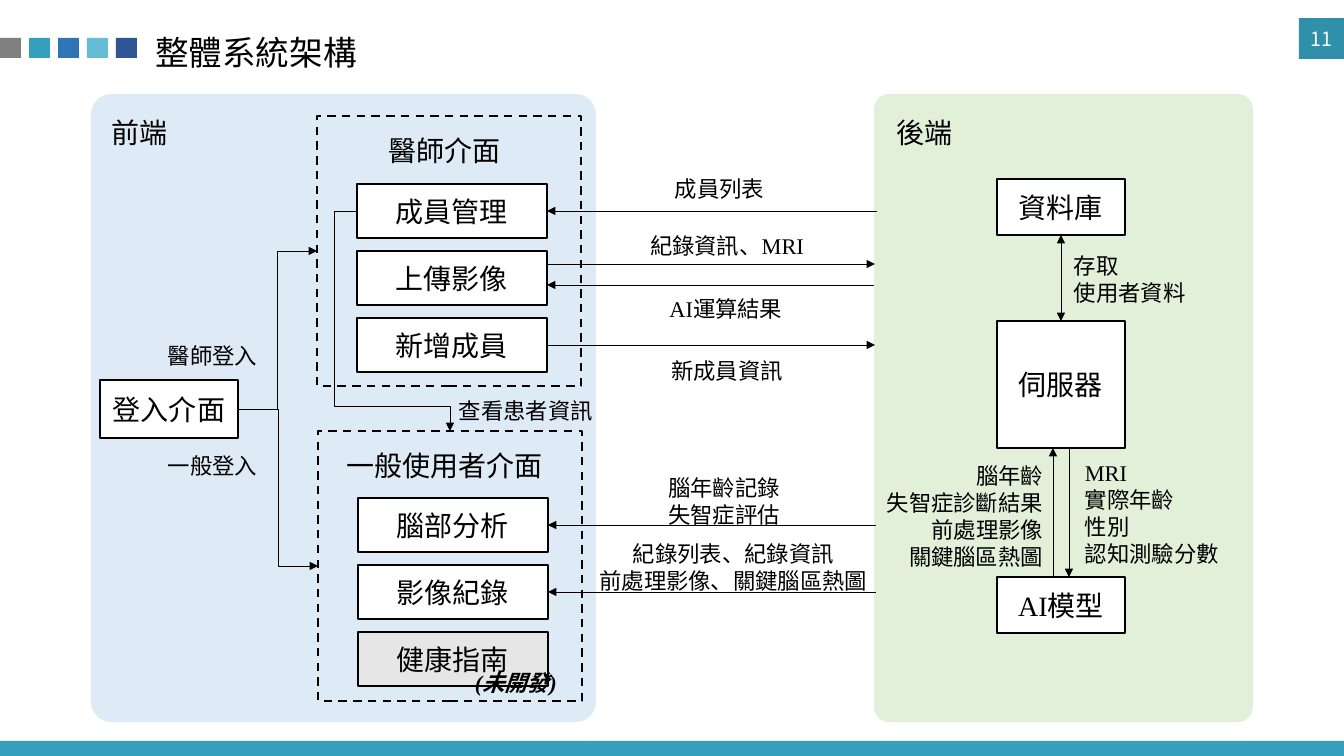
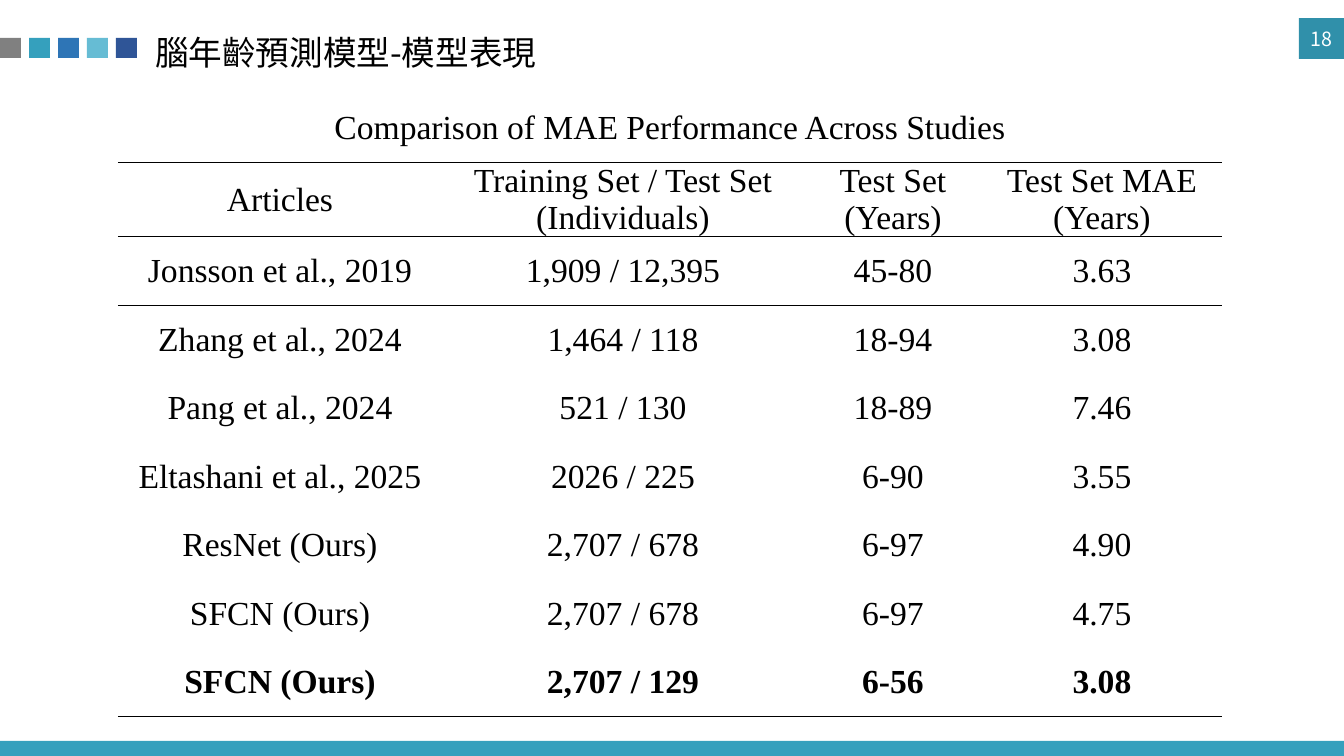
from lxml import etree
from pptx import Presentation
from pptx.dml.color import RGBColor
from pptx.enum.dml import MSO_LINE
from pptx.enum.shapes import MSO_CONNECTOR, MSO_SHAPE
from pptx.enum.text import MSO_ANCHOR, MSO_AUTO_SIZE, PP_ALIGN
from pptx.oxml.ns import qn
from pptx.util import Pt

RECT, ROUND = MSO_SHAPE.RECTANGLE, MSO_SHAPE.ROUNDED_RECTANGLE
STRAIGHT, ELBOW = MSO_CONNECTOR.STRAIGHT, MSO_CONNECTOR.ELBOW
LEFT, CENTER, RIGHT = PP_ALIGN.LEFT, PP_ALIGN.CENTER, PP_ALIGN.RIGHT
MIDDLE, TOP_ANCHOR = MSO_ANCHOR.MIDDLE, MSO_ANCHOR.TOP
TOP_SIDE, LEFT_SIDE, BOTTOM_SIDE, RIGHT_SIDE = range(4)

SLIDE_W, SLIDE_H = 1344, 756
SCALE = 12192000 / SLIDE_W
SERIF, SANS = "Times New Roman", "Noto Sans CJK SC"

BLACK, WHITE = RGBColor(0, 0, 0), RGBColor(255, 255, 255)
TEAL = RGBColor(0x35, 0xA0, 0xBD)
TAB_TEAL = RGBColor(0x30, 0x90, 0xAA)
GRAY = RGBColor(0x80, 0x80, 0x80)
BLUE = RGBColor(0x2E, 0x75, 0xB6)
SKY = RGBColor(0x66, 0xBC, 0xD4)
NAVY = RGBColor(0x2F, 0x55, 0x97)
PALE_BLUE = RGBColor(0xDE, 0xEB, 0xF7)
PALE_GREEN = RGBColor(0xE2, 0xF0, 0xD9)
PALE_GRAY = RGBColor(0xE7, 0xE6, 0xE6)
SQUARES = [GRAY, TEAL, BLUE, SKY, NAVY]

# Architecture slide: panels, dashed frames and boxes as x, y, w, h
PANELS = [((874, 94, 379, 628), PALE_GREEN), ((91, 94, 505, 628), PALE_BLUE)]
FRAMES = {"醫師介面": (317, 116, 264, 270), "一般使用者介面": (318, 431, 264, 270)}
BOX_W, BOX_H, BOX_PITCH = 190, 54, 67
STACKS = [(357, 184, ["成員管理", "上傳影像", "新增成員"]),
          (358, 498, ["腦部分析", "影像紀錄", "健康指南"])]
BOXES = {
    "登入介面": (100, 380, 138, 58),
    "資料庫": (997, 179, 128, 56),
    "伺服器": (997, 321, 128, 127),
    "AI模型": (997, 577, 128, 56),
}
for left, top, names in STACKS:
    for i, name in enumerate(names):
        BOXES[name] = (left, top + i * BOX_PITCH, BOX_W, BOX_H)
UNBUILT = "健康指南"

HEADINGS = [
    ("前端", 91, 105, 97, 54),
    ("後端", 876, 105, 97, 54),
    ("醫師介面", 326, 123, 237, 54),
    ("一般使用者介面", 326, 438, 237, 54),
]
LABELS = [
    ("醫師登入", 158, 337, 120, LEFT),
    ("一般登入", 158, 447, 120, LEFT),
    ("查看患者資訊", 449, 392, 156, LEFT),
    ("存取\n使用者資料", 1064, 247, 147, LEFT),
    ("MRI\n實際年齡\n性別\n認知測驗分數", 1075, 454, 168, LEFT),
    ("腦年齡\n失智症診斷結果\n前處理影像\n關鍵腦區熱圖", 870, 457, 183, RIGHT),
    ("成員列表", 665, 170, 118, LEFT),
    ("紀錄資訊、MRI", 635, 227, 184, CENTER),
    ("AI運算結果", 650, 290, 152, CENTER),
    ("新成員資訊", 650, 352, 154, CENTER),
    ("腦年齡記錄\n失智症評估", 650, 469, 148, CENTER),
    ("紀錄列表、紀錄資訊\n前處理影像、關鍵腦區熱圖", 585, 535, 297, CENTER),
]
UNBUILT_LABEL = ("(未開發)", 465, 664, 116, LEFT)
LABEL_LINE = 27

# An end is a free point (x, y) or a shape name with one of its sides
ARROWS = [
    (("登入介面", RIGHT_SIDE), ("醫師介面", LEFT_SIDE), ELBOW),
    (("登入介面", RIGHT_SIDE), ("一般使用者介面", LEFT_SIDE), ELBOW),
    (("成員管理", LEFT_SIDE), ("一般使用者介面", TOP_SIDE), ELBOW),
    (("伺服器", TOP_SIDE), ("資料庫", BOTTOM_SIDE), STRAIGHT),
    ((877, 211), ("成員管理", RIGHT_SIDE), STRAIGHT),
    ((547, 264), (875, 264), STRAIGHT),
    ((874, 285), (547, 285), STRAIGHT),
    (("新增成員", RIGHT_SIDE), (875, 345), STRAIGHT),
    ((876, 525), ("腦部分析", RIGHT_SIDE), STRAIGHT),
    ((876, 592), ("影像紀錄", RIGHT_SIDE), STRAIGHT),
    ((1053, 577), (1053, 448), STRAIGHT),
    ((1069, 448), (1069, 577), STRAIGHT),
]
TWO_WAY, DETOUR = 3, 2
DETOUR_BENDS = {"adj1": -24500, "adj2": 88600}

# Performance slide
CAPTION = "Comparison of MAE Performance Across Studies"
ROWS = [
    ("Articles", "Training Set / Test Set\n(Individuals)", "Test Set\n(Years)",
     "Test Set MAE\n(Years)"),
    ("Jonsson et al., 2019", "1,909 / 12,395", "45-80", "3.63"),
    ("Zhang et al., 2024", "1,464 / 118", "18-94", "3.08"),
    ("Pang et al., 2024", "521 / 130", "18-89", "7.46"),
    ("Eltashani et al., 2025", "2026 / 225", "6-90", "3.55"),
    ("ResNet (Ours)", "2,707 / 678", "6-97", "4.90"),
    ("SFCN (Ours)", "2,707 / 678", "6-97", "4.75"),
    ("SFCN (Ours)", "2,707 / 129", "6-56", "3.08"),
]
COL_WIDTHS = [324, 362, 178, 240]
TABLE_AT = (118, 94, sum(COL_WIDTHS), 617)
RULED_BELOW = {0, 1, 2, len(ROWS)}


def px(n):
    return round(n * SCALE)


def write(tf, text, size, align=CENTER, anchor=MIDDLE, font=SERIF, spacing=None, **fmt):
    """Fill a text frame, one paragraph for each line of text."""
    tf.word_wrap = True
    tf.vertical_anchor = anchor
    values = {"size": Pt(size), "name": font, "bold": False, **fmt}
    color = values.pop("color", BLACK)
    for i, line in enumerate(text.split("\n")):
        p = tf.paragraphs[0] if i == 0 else tf.add_paragraph()
        p.alignment, p.line_spacing = align, spacing
        r = p.add_run()
        r.text = line
        for key, value in values.items():
            setattr(r.font, key, value)
        r.font.color.rgb = color
        etree.SubElement(r._r.get_or_add_rPr(), qn("a:ea"), typeface=SANS)


def add_box(s, at, fill=None, line=None, kind=RECT):
    sp = s.shapes.add_shape(kind, *map(px, at))
    sp.shadow.inherit = False
    if fill is None:
        sp.fill.background()
    else:
        sp.fill.solid()
        sp.fill.fore_color.rgb = fill
    if line is None:
        sp.line.fill.background()
    else:
        sp.line.color.rgb = line
        sp.line.width = Pt(1.5)
    return sp


def add_label(s, text, x, y, w, h, **fmt):
    tf = s.shapes.add_textbox(*map(px, (x, y, w, h))).text_frame
    write(tf, text, **fmt)


def add_note(s, text, x, y, w, align, **fmt):
    h = 10 + LABEL_LINE * len(text.split("\n"))
    spacing = px(LABEL_LINE)
    add_label(s, text, x, y, w, h, size=16, align=align, anchor=TOP_ANCHOR,
              spacing=Pt(spacing / Pt(1)), **fmt)


def add_arrow(s, shapes, start, end, kind, two_way=False):
    joins = [isinstance(e[0], str) for e in (start, end)]
    points = [(0, 0) if joined else e for joined, e in zip(joins, (start, end))]
    c = s.shapes.add_connector(kind, *(px(n) for point in points for n in point))
    for joined, connect, e in zip(joins, (c.begin_connect, c.end_connect), (start, end)):
        if joined:
            connect(shapes[e[0]], e[1])
    c.line.color.rgb = BLACK
    c.line.width = Pt(0.5)
    ln = c.line._get_or_add_ln()
    for tag in ["a:headEnd"] * two_way + ["a:tailEnd"]:
        etree.SubElement(ln, qn(tag), type="triangle")
    etree.SubElement(c.element.spPr, qn("a:effectLst"))
    return c


def add_decoration(s, layout):
    """Draw the bottom band and the squares, then move them to the layout."""
    parts = [add_box(s, (0, 741, SLIDE_W, 15), TEAL)]
    parts += [add_box(s, (29 * i, 38, 21, 20), color) for i, color in enumerate(SQUARES)]
    for part in parts:
        layout.shapes.element.append(part.element)


def add_slide(prs, layout, title, number, font):
    s = prs.slides.add_slide(layout)
    sp = s.shapes.title
    sp.left, sp.top, sp.width, sp.height = map(px, (145, 17, 1145, 76))
    sp.text_frame.auto_size = MSO_AUTO_SIZE.NONE
    write(sp.text_frame, title, 24, LEFT, font=font, spacing=0.9)
    tab = add_box(s, (1299, 18, 45, 41), TAB_TEAL)
    tab.text_frame.margin_left = tab.text_frame.margin_right = 0
    write(tab.text_frame, number, 14, font=SANS, color=WHITE)
    return s


def draw_architecture(s):
    for at, fill in PANELS:
        add_box(s, at, fill, kind=ROUND).adjustments[0] = 0.04
    shapes = {}
    for name, at in FRAMES.items():
        shapes[name] = add_box(s, at, line=BLACK)
        shapes[name].line.dash_style = MSO_LINE.DASH
    for name, at in BOXES.items():
        shapes[name] = add_box(s, at, PALE_GRAY if name == UNBUILT else WHITE, BLACK)
        write(shapes[name].text_frame, name, 20)
    for i, arrow in enumerate(ARROWS):
        c = add_arrow(s, shapes, *arrow, two_way=i == TWO_WAY)
        if i == DETOUR:
            geom = c.element.spPr.find(qn("a:prstGeom"))
            geom.set("prst", "bentConnector4")
            bends = geom.find(qn("a:avLst"))
            for name, value in DETOUR_BENDS.items():
                etree.SubElement(bends, qn("a:gd"), name=name, fmla=f"val {value}")
    for heading in HEADINGS:
        add_label(s, *heading, size=20)
    for label in LABELS:
        add_note(s, *label)
    add_note(s, *UNBUILT_LABEL, bold=True, italic=True)


def set_borders(cell, above, below):
    tcPr = cell._tc.get_or_add_tcPr()
    for tag, ruled in (("a:lnL", False), ("a:lnR", False), ("a:lnT", above), ("a:lnB", below)):
        ln = etree.SubElement(tcPr, qn(tag), w=str(Pt(1)))
        fill = etree.SubElement(ln, qn("a:solidFill" if ruled else "a:noFill"))
        if ruled:
            etree.SubElement(fill, qn("a:srgbClr"), val=str(BLACK))


def draw_performance(s):
    count = len(ROWS) + 1
    table = s.shapes.add_table(count, len(COL_WIDTHS), *map(px, TABLE_AT)).table
    table.first_row = table.horz_banding = False
    for col, width in zip(table.columns, COL_WIDTHS):
        col.width = px(width)
    for row in table.rows:
        row.height = px(TABLE_AT[3] / count)
    table.cell(0, 0).merge(table.cell(0, len(COL_WIDTHS) - 1))
    for i, texts in enumerate([(CAPTION, "", "", "")] + ROWS):
        for j, text in enumerate(texts):
            cell = table.cell(i, j)
            set_borders(cell, i - 1 in RULED_BELOW, i in RULED_BELOW)
            cell.fill.background()
            cell.margin_left = cell.margin_right = px(7)
            cell.margin_top = cell.margin_bottom = 0
            cell.vertical_anchor = MIDDLE
            if text:
                write(cell.text_frame, text, 24, anchor=None, bold=i == len(ROWS))


def main():
    prs = Presentation()
    prs.slide_width, prs.slide_height = px(SLIDE_W), px(SLIDE_H)
    layout = prs.slide_layouts[5]
    s = add_slide(prs, layout, "整體系統架構", "11", SERIF)
    add_decoration(s, layout)
    draw_architecture(s)
    s = add_slide(prs, layout, "腦年齡預測模型-模型表現", "18", SANS)
    draw_performance(s)
    prs.save("out.pptx")


if __name__ == "__main__":
    main()
